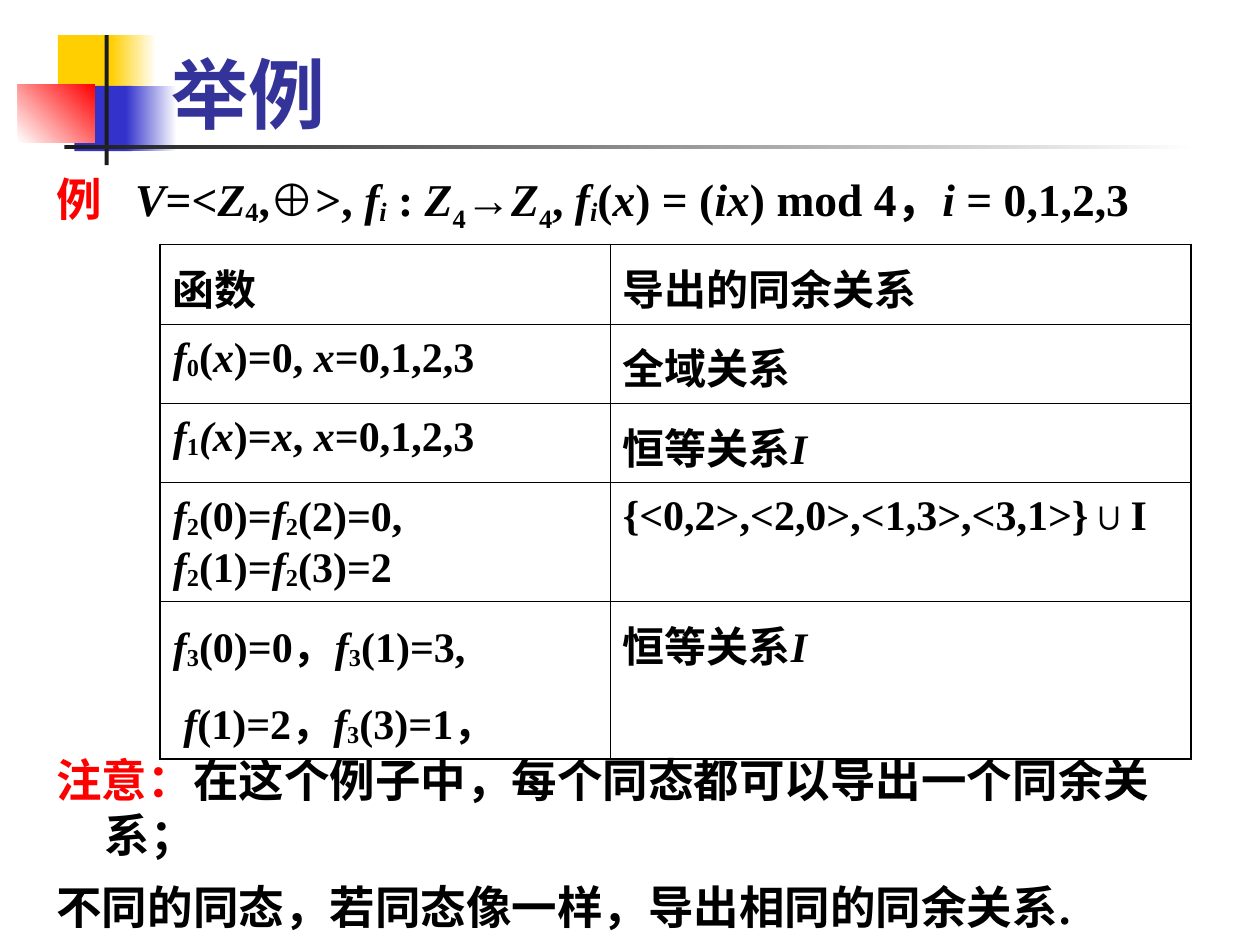
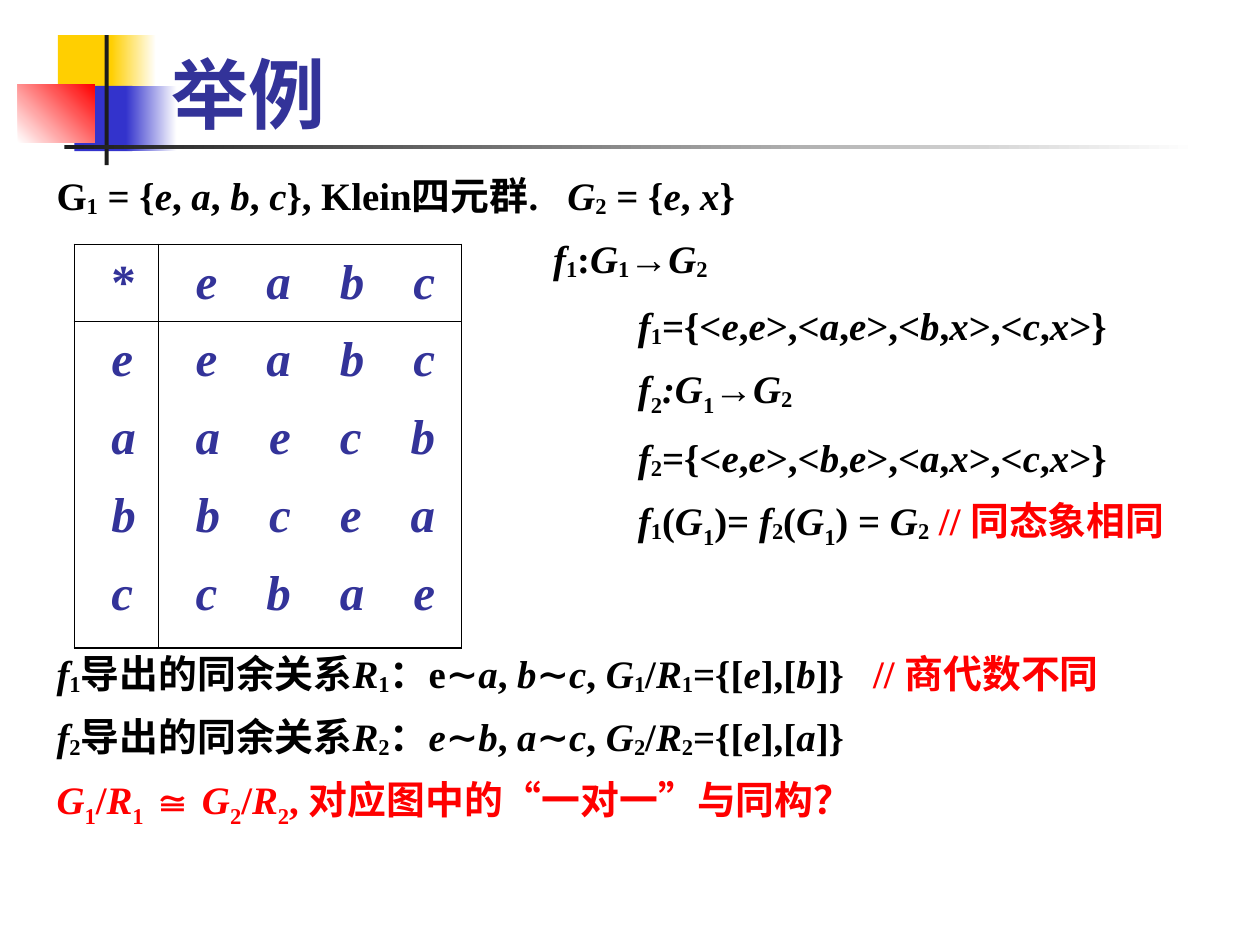
from dataclasses import dataclass
from itertools import groupby
from typing import NamedTuple

from lxml.etree import SubElement as Sub
from pptx import Presentation
from pptx.dml.color import RGBColor as Rgb
from pptx.enum.shapes import MSO_SHAPE as Shape
from pptx.enum.text import MSO_ANCHOR as Anchor
from pptx.oxml.ns import qn
from pptx.util import Cm, Pt

BLACK, WHITE, RED = "000000", "FFFFFF", "FF0000"
GOLD, BLUE, DARK, NAVY = "FFCF01", "3333CC", "1C1C1C", "333399"
SERIF, SANS = "Times New Roman", "Karla"
THICK, THIN = 1.08, 0.45


class Box(NamedTuple):
    left: float
    top: float
    width: float
    height: float


class Band(NamedTuple):
    box: Box
    start: str
    end: str = ""
    angle: int = 0


@dataclass(frozen=True)
class Look:
    """Text style; gap is the extra width in points of a wide space."""
    size: float
    before: float = 0
    color: str = BLACK
    font: str = SERIF
    spacing: float = 1.0
    left: float = 0
    hang: float = 0
    gap: float = 0


@dataclass(frozen=True)
class Grid:
    left: float
    top: float
    cols: tuple[float, ...]
    rows: tuple[float, ...]
    cells: tuple[tuple[str, ...], ...]
    looks: tuple[Look, ...]


BANDS = (
    Band(Box(1.17, 0.71, 1.22, 1.32), GOLD),
    Band(Box(2.24, 0.71, 0.91, 1.32), GOLD, WHITE),
    Band(Box(1.5, 1.73, 1.17, 1.32), BLUE),
    Band(Box(2.54, 1.73, 1.02, 1.32), BLUE, WHITE),
    Band(Box(0.36, 1.7, 1.55, 1.17), WHITE, RED, 45),
    Band(Box(2.11, 0.71, 0.08, 2.62), DARK),
    Band(Box(1.3, 2.92, 22.86, 0.08), DARK, WHITE),
)
TITLE = Look(44, color=NAVY, font=SANS)
NOTE = Look(26, 9.8, left=0.97, hang=0.97, gap=13)
PROOF = Look(22.2, 9, gap=11.1)
CELL = Look(24, 9, spacing=1.1)
PAIR = Look(24, spacing=1.1)
TIGHT = Look(24, 6, spacing=1.1)
CAYLEY = Look(28, 10.5, NAVY, spacing=1.1, left=0.49, gap=21)

MAPS = Grid(
    3.23, 4.93, (9.07, 11.71), (1.6, 1.6, 1.6, 2.34, 3.18),
    (
        ("函数", "导出的同余关系"),
        ("'f'_0('x')=0, 'x'=0,1,2,3", "全域关系"),
        ("'f'_1'(x')='x', 'x'=0,1,2,3", "恒等关系'I'"),
        ("'f'_2(0)='f'_2(2)=0, 'f'_2(1)='f'_2(3)=2",
         "{<0,2>,<2,0>,<1,3>,<3,1>}∪I"),
        ("'f'_3(0)=0，'f'_3(1)=3,\n 'f'(1)=2，'f'_3(3)=1，", "恒等关系'I'"),
    ),
    (CELL, CELL, CELL, PAIR, TIGHT),
)


def spread(*rows: str) -> str:
    """Set each row in italics with wide spaces between its letters."""
    return "\n".join(f"'{'~'.join(row)}'" for row in rows)


KLEIN = Grid(
    1.5, 4.93, (1.7, 6.1), (1.55, 6.58),
    (
        ("*", spread("eabc")),
        (spread(*"eabc"), spread("eabc", "aecb", "bcea", "cbae")),
    ),
    (CAYLEY, CAYLEY),
)


class Style(NamedTuple):
    italic: bool
    red: bool
    drop: int
    wide: bool


def rgb(code: str) -> Rgb:
    return Rgb.from_string(code)


def parts(text: str) -> list[tuple[Style, str]]:
    """Split marked text into styled pieces.

    ' toggles italics, | toggles red, _ and ^ lower the next character
    by 10 and 25 percent, ~ is a wide space.
    """
    italic = red = False
    drop = 0
    marks = []
    for char in text:
        if char == "'":
            italic = not italic
        elif char == "|":
            red = not red
        elif char in "_^":
            drop = -10 if char == "_" else -25
        else:
            wide = char == "~"
            marks.append((Style(italic, red, drop, wide), " " if wide else char))
            drop = 0
    return [(style, "".join(c for _, c in group))
            for style, group in groupby(marks, key=lambda mark: mark[0])]


def write(frame, text: str, look: Look) -> None:
    for num, line in enumerate(text.split("\n")):
        para = frame.paragraphs[0] if num == 0 else frame.add_paragraph()
        para.space_before = Pt(look.before)
        para.line_spacing = look.spacing
        props = para._p.get_or_add_pPr()
        props.set("marL", str(Cm(look.left)))
        props.set("indent", str(-Cm(look.hang)))
        for style, piece in parts(line):
            run = para.add_run()
            run.text = piece
            font = run.font
            font.name, font.size, font.bold = look.font, Pt(look.size), True
            font.italic = style.italic
            font.color.rgb = rgb(RED if style.red else look.color)
            if style.drop:
                run._r.get_or_add_rPr().set("baseline", str(style.drop * 1000))
            if style.wide:
                run._r.get_or_add_rPr().set("spc", str(round(look.gap * 100)))


def label(slide, box: Box, text: str, look: Look, anchor=Anchor.TOP) -> None:
    frame = slide.shapes.add_textbox(*map(Cm, box)).text_frame
    frame.word_wrap = True
    frame.vertical_anchor = anchor
    write(frame, text, look)


def paint(slide, band: Band) -> None:
    shape = slide.shapes.add_shape(Shape.RECTANGLE, *map(Cm, band.box))
    shape.shadow.inherit = False
    shape.line.fill.background()
    fill = shape.fill
    if not band.end:
        fill.solid()
        fill.fore_color.rgb = rgb(band.start)
        return
    fill.gradient()
    fill.gradient_angle = band.angle
    for stop, code in zip(fill.gradient_stops, (band.start, band.end)):
        stop.color.rgb = rgb(code)


def edge(cell, side: str, width: float) -> None:
    line = Sub(cell._tc.get_or_add_tcPr(), qn(f"a:ln{side}"), w=str(Pt(width)))
    Sub(Sub(line, qn("a:solidFill")), qn("a:srgbClr"), val=BLACK)


def draw(slide, grid: Grid) -> None:
    """Draw a table with a thick frame and thin inner lines."""
    rows, cols = len(grid.rows), len(grid.cols)
    box = Box(grid.left, grid.top, sum(grid.cols), sum(grid.rows))
    table = slide.shapes.add_table(rows, cols, *map(Cm, box)).table
    table.first_row = table.horz_banding = False
    for col, width in zip(table.columns, grid.cols):
        col.width = Cm(width)
    for row, height in zip(table.rows, grid.rows):
        row.height = Cm(height)
    for r, texts in enumerate(grid.cells):
        for c, text in enumerate(texts):
            cell = table.cell(r, c)
            outer = {"L": c == 0, "R": c == cols - 1,
                     "T": r == 0, "B": r == rows - 1}
            for side, rim in outer.items():
                edge(cell, side, THICK if rim else THIN)
            cell.fill.background()
            cell.margin_bottom = Cm(0)
            write(cell.text_frame, text, grid.looks[r])


def start(deck):
    """Add a slide with the shared bands and title."""
    slide = deck.slides.add_slide(deck.slide_layouts[6])
    for band in BANDS:
        paint(slide, band)
    label(slide, Box(3.2, 0.2, 21.64, 2.72), "举例", TITLE, Anchor.BOTTOM)
    return slide


def main() -> None:
    deck = Presentation()
    deck.slide_width, deck.slide_height = Cm(25.4), Cm(19.05)

    slide = start(deck)
    label(slide, Box(0.89, 3.33, 23.6, 1.4),
          "|例|~'V'=<'Z'_4,⊕>, 'f_i' : 'Z'^4→'Z'^4, 'f_i'('x') = ('ix') mod 4，"
          "'i' = 0,1,2,3", NOTE)
    draw(slide, MAPS)
    label(slide, Box(0.89, 15.04, 23.3, 3.8),
          "|注意：|在这个例子中，每个同态都可以导出一个同余关系；\n"
          "不同的同态，若同态像一样，导出相同的同余关系.", NOTE)

    slide = start(deck)
    label(slide, Box(0.89, 3.33, 23.6, 1.2),
          "G_1 = {'e', 'a', 'b', 'c'}, Klein四元群.~'G'_2 = {'e', 'x'}", PROOF)
    label(slide, Box(10.9, 4.61, 6, 1.2), "'f'_1:'G'_1→'G'_2", PROOF)
    label(slide, Box(12.61, 5.96, 11.88, 6.2),
          "'f'_1={<'e','e'>,<'a','e'>,<'b','x'>,<'c','x'>}\n"
          "'f'^2':G'^1→'G'_2\n"
          "'f'_2={<'e','e'>,<'b','e'>,<'a','x'>,<'c','x'>}\n"
          "'f'_1('G'^1)= 'f'_2('G'^1) = 'G'_2 |// 同态象相同|", PROOF)
    draw(slide, KLEIN)
    label(slide, Box(0.89, 12.97, 23.6, 4.2),
          "'f'_1导出的同余关系'R'_1：e∼'a', 'b'∼'c', 'G'_1/'R'_1={['e'],['b']}"
          "~|// 商代数不同|\n"
          "'f'_2导出的同余关系'R'_2：'e'∼'b', 'a'∼'c', 'G'_2/'R'_2={['e'],['a']}\n"
          "|'G'^1/'R'^1 ≅ 'G'^2/'R'^2, 对应图中的“一对一”与同构？|", PROOF)

    deck.save("out.pptx")


if __name__ == "__main__":
    main()
